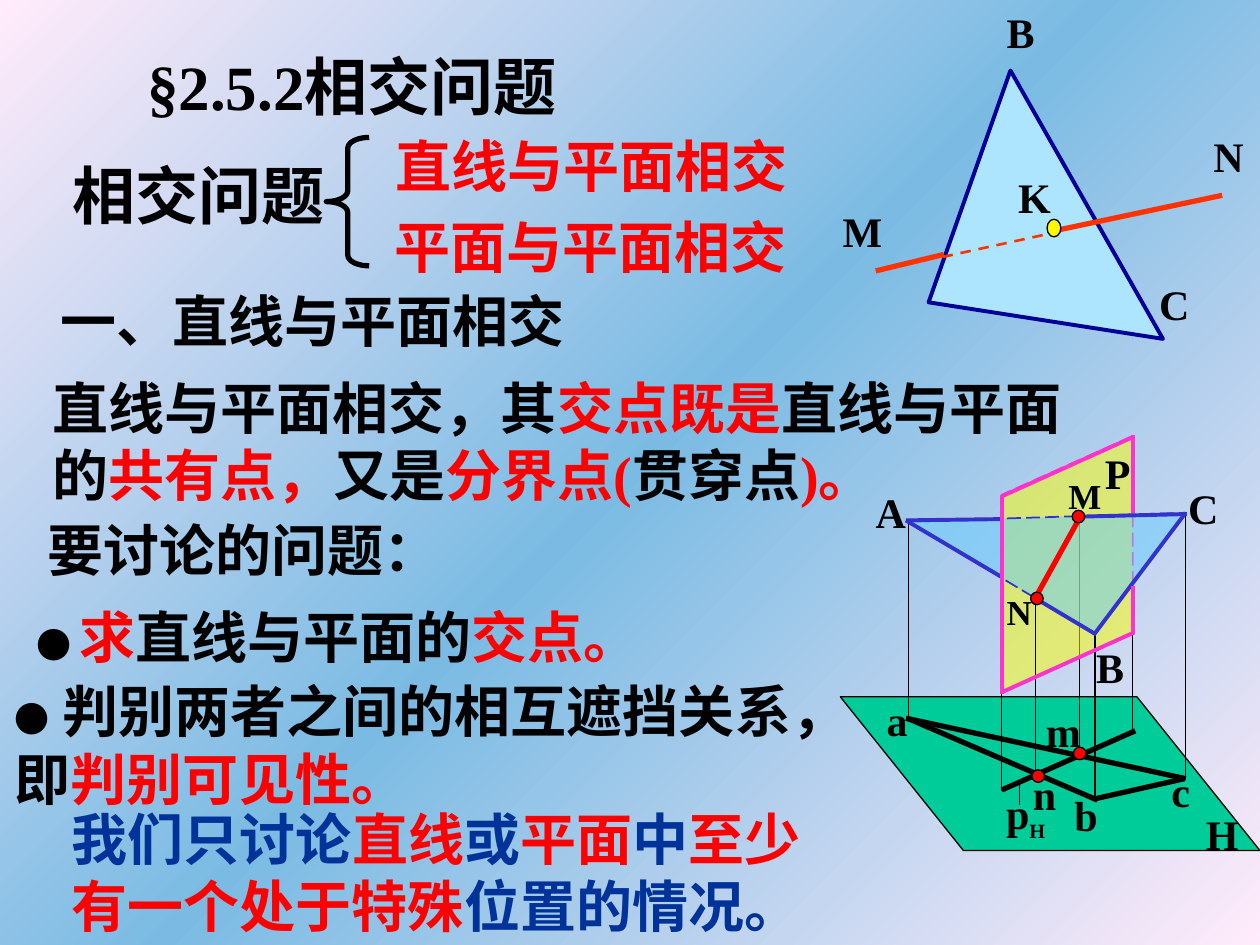
"""Build the slide on lines meeting planes, with its two geometric figures."""
from copy import deepcopy
from dataclasses import dataclass
from typing import NamedTuple

from lxml.etree import SubElement
from pptx import Presentation
from pptx.dml.color import RGBColor
from pptx.enum.dml import MSO_LINE
from pptx.enum.shapes import MSO_CONNECTOR, MSO_SHAPE
from pptx.enum.text import MSO_ANCHOR, MSO_AUTO_SIZE, PP_ALIGN
from pptx.oxml.ns import qn
from pptx.util import Emu, Inches, Pt

WIDTH, HEIGHT = Inches(10), Inches(7.5)
COLS, ROWS = 10, 7.5


@dataclass(frozen=True)
class Theme:
    font: str = "Times New Roman"
    ink: str = "000000"
    red: str = "FF0000"
    navy: str = "003399"
    pink: str = "FF33CC"
    blue: str = "3333CC"
    orange: str = "FF3300"
    outline: str = "000099"
    ground: str = "00CC99"
    yellow: str = "FFFF00"
    knot: str = "FEF800"
    glass: str = "66CCFF"
    ice: str = "ADE4FF"
    backdrop: tuple = ("FFEBFA", "7BBBE3", "FFEBFA")
    title: int = 36
    body: int = 32
    label: int = 24
    small: int = 20
    thin: float = 0.75
    edge: float = 2.25
    heavy: float = 3


T = Theme()


class Span(NamedTuple):
    text: str
    color: str = T.ink
    size: int = T.body
    baseline: int = 0


class Block(NamedTuple):
    box: tuple
    paragraphs: list
    wrap: bool = False
    anchor: MSO_ANCHOR = MSO_ANCHOR.MIDDLE
    align: PP_ALIGN = PP_ALIGN.LEFT


class Label(NamedTuple):
    text: str
    center: float
    top: float
    size: int = T.label
    sub: str = ""


class Line(NamedTuple):
    start: tuple
    end: tuple
    color: str = T.ink
    width: float = T.thin
    dash: MSO_LINE | None = None


class Paint(NamedTuple):
    fill: str | None
    line: str = T.ink
    width: float = T.thin
    alpha: int = 100
    dash: MSO_LINE | None = None


def x(cols: float) -> Emu:
    return Emu(round(WIDTH * cols / COLS))


def y(rows: float) -> Emu:
    return Emu(round(HEIGHT * rows / ROWS))


def place(box: tuple) -> tuple:
    left, top, width, height = box
    return x(left), y(top), x(width), y(height)


def style_line(line, color: str, width: float, dash: MSO_LINE | None) -> None:
    line.color.rgb = RGBColor.from_string(color)
    line.width = Pt(width)
    if dash:
        line.dash_style = dash


def paint(sp, look: Paint) -> None:
    sp.shadow.inherit = False
    if look.fill is None:
        sp.fill.background()
    else:
        sp.fill.solid()
        sp.fill.fore_color.rgb = RGBColor.from_string(look.fill)
        if look.alpha < 100:
            clr = sp.element.spPr.find(f"{qn('a:solidFill')}/{qn('a:srgbClr')}")
            SubElement(clr, qn("a:alpha"), val=str(look.alpha * 1000))
    style_line(sp.line, look.line, look.width, look.dash)


def draw_preset(shapes, kind: MSO_SHAPE, box: tuple, look: Paint,
                adj: float | None = None, flip: str = "", turn: int = 0) -> None:
    sp = shapes.add_shape(kind, *place(box))
    if adj is not None:
        sp.adjustments[0] = adj
    sp.rotation = turn
    if flip:
        sp.element.spPr.find(qn("a:xfrm")).set(flip, "1")
    paint(sp, look)


def draw_polygon(shapes, points: list, look: Paint) -> None:
    first, *rest = [(x(px), y(py)) for px, py in points]
    builder = shapes.build_freeform(*first)
    builder.add_line_segments(rest, close=True)
    paint(builder.convert_to_shape(), look)


def draw_lines(shapes, lines: list[Line]) -> None:
    for ln in lines:
        sp = shapes.add_connector(MSO_CONNECTOR.STRAIGHT, x(ln.start[0]), y(ln.start[1]),
                                  x(ln.end[0]), y(ln.end[1]))
        style_line(sp.line, ln.color, ln.width, ln.dash)
        SubElement(sp.element.spPr, qn("a:effectLst"))


def draw_block(shapes, block: Block) -> None:
    tf = shapes.add_textbox(*place(block.box)).text_frame
    tf.word_wrap = block.wrap
    tf.auto_size = MSO_AUTO_SIZE.SHAPE_TO_FIT_TEXT
    tf.vertical_anchor = block.anchor
    for i, spans in enumerate(block.paragraphs):
        p = tf.add_paragraph() if i else tf.paragraphs[0]
        p.alignment = block.align
        for span in spans:
            r = p.add_run()
            r.text = span.text
            r.font.name, r.font.size, r.font.bold = T.font, Pt(span.size), True
            r.font.color.rgb = RGBColor.from_string(span.color)
            if span.baseline:
                r.font._element.set("baseline", str(span.baseline * 1000))


def draw_labels(shapes, labels: list[Label]) -> None:
    for lb in labels:
        spans = [Span(lb.text, size=lb.size)]
        if lb.sub:
            spans.append(Span(lb.sub, size=T.small, baseline=-25))
        width = 0.6 if lb.sub else 0.5
        box = (lb.center - width / 2, lb.top, width, 0.5 if lb.size == T.label else 0.44)
        draw_block(shapes, Block(box, [spans], False, MSO_ANCHOR.TOP, PP_ALIGN.CENTER))


def draw_background(s) -> None:
    fill = s.background.fill
    fill.gradient()
    fill.gradient_angle = 135
    stops = next(s.element.iter(qn("a:gsLst")))
    stops.insert(1, deepcopy(stops[0]))
    for i, (stop, color) in enumerate(zip(fill.gradient_stops, T.backdrop)):
        stop.position = i / 2
        stop.color.rgb = RGBColor.from_string(color)


def draw_text(shapes) -> None:
    red, navy = T.red, T.navy
    for block in (
        Block((0.48, 1.19, 2.22, 0.7), [[Span("相交问题", size=T.title)]]),
        Block((3.04, 0.99, 3.35, 0.64), [[Span("直线与平面相交", red)]]),
        Block((3.03, 1.63, 3.42, 0.64), [[Span("平面与平面相交", red)]], True),
        Block((0.38, 2.22, 4.25, 0.64), [[Span("一、直线与平面相交")]]),
        Block((0.32, 2.91, 8.41, 1.17), [[
            Span("直线与平面相交，其"), Span("交点既是", red), Span("直线与平面的"),
            Span("共有点，", red), Span("又是"), Span("分界点(", red), Span("贯穿点"),
            Span(")。", red)]], True),
        Block((0.28, 4.04, 3.35, 0.64), [[Span("要讨论的问题：")]]),
        Block((0.19, 4.73, 4.99, 0.64), [[
            Span("● ", size=T.small), Span("求", red), Span("直线与平面的"),
            Span("交点。", red)]]),
        Block((0.02, 5.32, 6.81, 1.17), [
            [Span("●", size=T.small), Span(" 判别两者之间的相互遮挡关系，")],
            [Span("即"), Span("判别可见性。", red)]]),
        Block((0.47, 6.33, 6.45, 1.17), [
            [Span("我们只讨论", navy), Span("直线", red), Span("或", navy),
             Span("平面", red), Span("中", navy), Span("至少", red)],
            [Span("有一个处于特殊", red), Span("位置的情况。", navy)]], True),
        Block((1.07, 0.33, 3.57, 0.7), [[Span("§2.5.2相交问题", size=T.title)]],
              anchor=MSO_ANCHOR.TOP),
    ):
        draw_block(shapes, block)
    draw_preset(shapes, MSO_SHAPE.LEFT_BRACE, (2.59, 1.09, 0.34, 1.02),
                Paint(None, width=T.heavy), adj=0.25)


def draw_projection(shapes) -> None:
    draw_preset(shapes, MSO_SHAPE.PARALLELOGRAM, (6.67, 5.53, 3.33, 1.22),
                Paint(T.ground), 0.8, "flipH")
    draw_lines(shapes, [Line((8.57, 5.99), (8.57, 4.08))])
    draw_preset(shapes, MSO_SHAPE.PARALLELOGRAM, (7.45, 3.96, 2.04, 1.04),
                Paint(T.yellow, T.pink, 1, 50, MSO_LINE.LONG_DASH), 0.45, "flipV", 90)
    draw_labels(shapes, [
        Label("H", 9.7, 6.37), Label("A", 7.07, 3.81), Label("C", 9.55, 3.78),
        Label("B", 8.81, 5.04), Label("P", 8.87, 3.5), Label("a", 7.12, 5.46),
        Label("c", 9.37, 6.03), Label("b", 8.62, 6.22), Label("p", 8.14, 6.2, sub="H"),
        Label("M", 8.61, 3.72, T.small), Label("N", 8.09, 4.64, T.small),
        Label("n", 8.29, 6.05), Label("m", 8.44, 5.55)])
    draw_polygon(shapes, [(7.2, 4.14), (8.69, 5.03), (9.41, 4.07)],
                 Paint(T.glass, T.blue, 1, 50, MSO_LINE.LONG_DASH))
    strokes = {
        (T.ink, T.thin): [
            ((7.95, 5.49), (7.95, 6.28)), ((8.99, 5.03), (8.99, 5.8)),
            ((7.21, 5.73), (7.21, 4.13)), ((8.09, 6.22), (8.09, 6.39)),
            ((9.41, 4.07), (9.41, 6.19)), ((8.22, 6.13), (8.22, 4.72)),
            ((8.69, 5.01), (8.69, 6.34))],
        (T.ink, T.heavy): [
            ((7.95, 6.27), (9.01, 5.8)), ((8.71, 6.35), (7.2, 5.7)),
            ((8.69, 6.34), (9.4, 6.18)), ((7.19, 5.7), (9.41, 6.18))],
        (T.red, T.heavy): [((8.58, 4.09), (8.22, 4.74))],
        (T.blue, T.edge): [
            ((7.19, 4.13), (7.95, 4.58)), ((8.22, 4.75), (8.69, 5.03)),
            ((7.19, 4.13), (7.96, 4.12)), ((8.58, 4.1), (9.42, 4.08)),
            ((8.68, 5.04), (9.41, 4.07))],
        (T.pink, T.edge): [
            ((8.99, 4.07), (8.99, 3.45)), ((9, 5.02), (7.96, 5.49)),
            ((8.99, 3.47), (7.95, 3.94)), ((7.95, 3.93), (7.95, 5.51)),
            ((8.99, 4.65), (8.99, 5.03))],
    }
    for (color, width), ends in strokes.items():
        draw_lines(shapes, [Line(a, b, color, width) for a, b in ends])
    for left, top in ((8.51, 4.05), (8.18, 4.7), (8.19, 6.11), (8.52, 5.93)):
        draw_preset(shapes, MSO_SHAPE.OVAL, (left, top, 0.1, 0.1), Paint(T.red))


def draw_piercing(shapes) -> None:
    draw_polygon(shapes, [(9.23, 2.69), (7.37, 2.4), (8.02, 0.56)],
                 Paint(T.ice, T.outline, T.edge))
    draw_lines(shapes, [
        Line((9.7, 1.55), (8.33, 1.84), T.orange, T.heavy),
        Line((7.49, 2.02), (6.95, 2.15), T.orange, T.heavy),
        Line((7.48, 2.04), (8.44, 1.83), T.orange, 1.5, MSO_LINE.DASH)])
    draw_preset(shapes, MSO_SHAPE.OVAL, (8.31, 1.74, 0.11, 0.14), Paint(T.knot))
    draw_labels(shapes, [
        Label("C", 9.32, 2.16), Label("B", 8.1, 0), Label("K", 8.21, 1.31),
        Label("M", 6.84, 1.58), Label("N", 9.75, 0.99)])


def main() -> None:
    prs = Presentation()
    prs.slide_width, prs.slide_height = WIDTH, HEIGHT
    s = prs.slides.add_slide(prs.slide_layouts[6])
    draw_background(s)
    draw_text(s.shapes)
    draw_projection(s.shapes.add_group_shape().shapes)
    draw_piercing(s.shapes.add_group_shape().shapes)
    prs.save("out.pptx")


if __name__ == "__main__":
    main()
